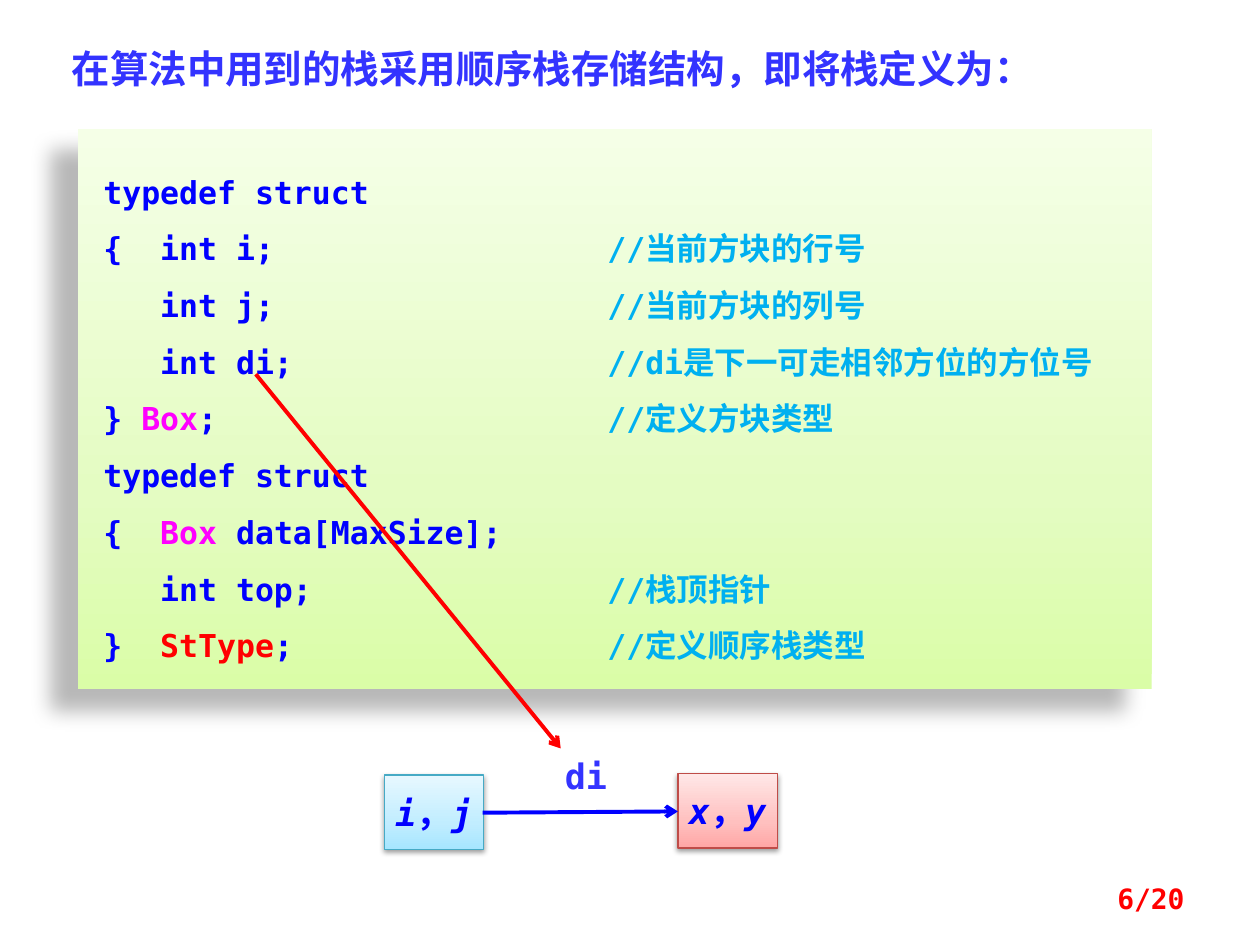
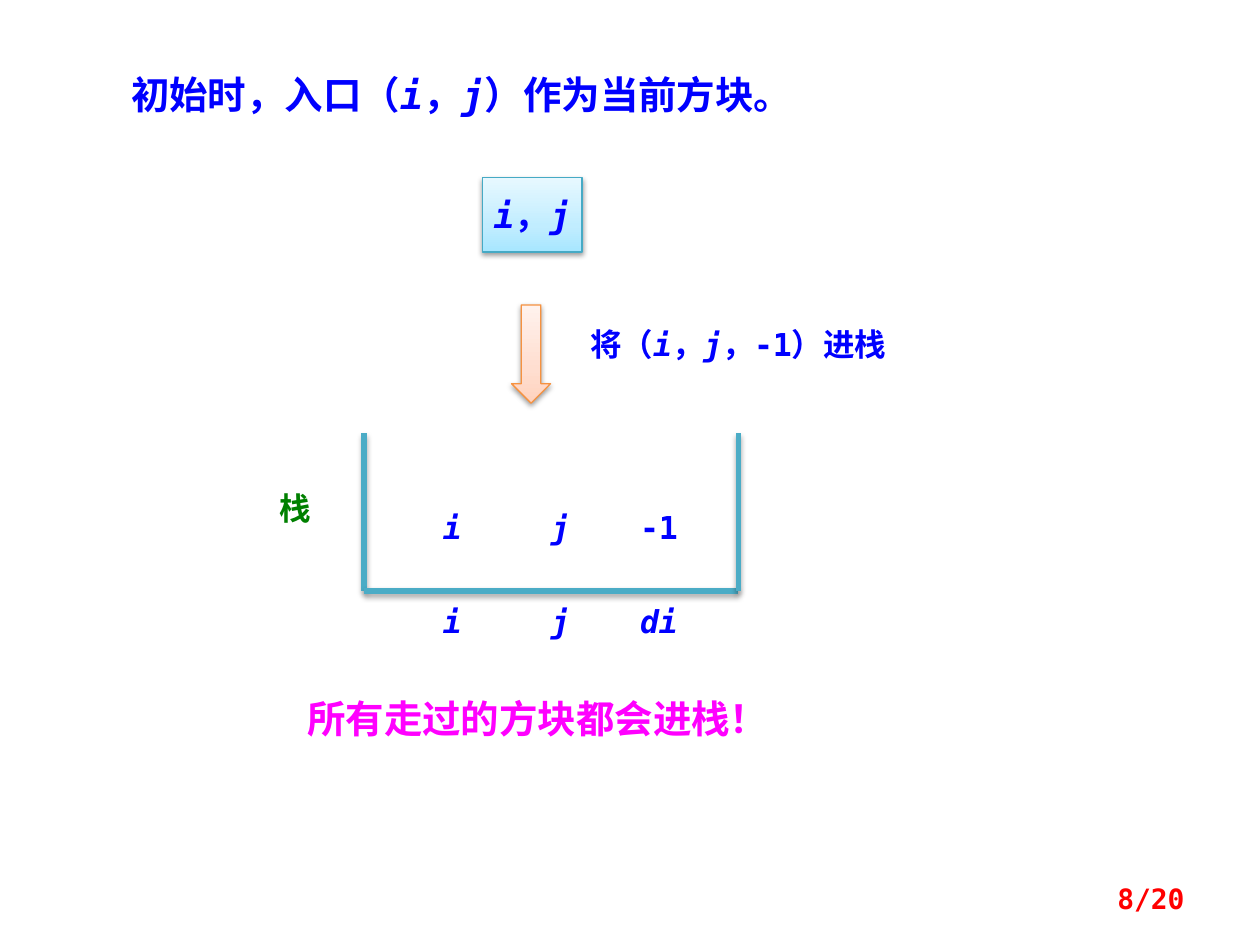
"""Build two slides on the sequential stack used for walking a maze."""
import pptx
import pptx.dml.color
import pptx.enum.shapes
import pptx.enum.text
import pptx.oxml
import pptx.oxml.ns
import pptx.util

Inches = pptx.util.Inches
Pt = pptx.util.Pt
rgb = pptx.dml.color.RGBColor.from_string
ALIGN = pptx.enum.text.PP_ALIGN
ANCHOR = pptx.enum.text.MSO_ANCHOR
SHAPE = pptx.enum.shapes.MSO_SHAPE
STRAIGHT = pptx.enum.shapes.MSO_CONNECTOR.STRAIGHT
NS = pptx.oxml.ns.nsdecls("a")

MONO, CJK = "DejaVu Sans Mono", "Noto Sans CJK SC"
BLUE, INDIGO, RED, MAGENTA = "0000FF", "3333FF", "FF0000", "FF00FF"
SKY, GREEN, TEAL = "00B0F0", "008000", "4BACC6"
LIME_FILL = ("DAFDA7", "E4FCC2", "F5FFE7")
CYAN_FILL = ("A7E6FF", "C1EDFF", "E7F8FF")
PINK_FILL = ("FFA6A5", "FFC0BF", "FFE7E7")
PEACH_FILL = ("FFD2BD", "FFDED0", "FFF2ED")
CODE_SHADOW = (28, 11.8, 19.7, 141)
SHAPE_SHADOW = (38, 3.1, 1.6, 90)
LINE_SHADOW = (35, 3.1, 1.8, 90)


def write(paragraph, text, size, colour, align=ALIGN.LEFT, font=MONO):
    """Append text to a paragraph; parts between bars are italic."""
    paragraph.alignment = align
    for index, part in enumerate(text.split("|")):
        if part:
            span = paragraph.add_run()
            span.text = part
            span.font.name = font
            span.font.size = Pt(size)
            span.font.bold = True
            span.font.italic = index % 2 == 1
            span.font.color.rgb = rgb(colour)
            span.font._element.find(pptx.oxml.ns.qn("a:latin")).addnext(
                pptx.oxml.parse_xml(f'<a:ea {NS} typeface="{CJK}"/>'))


def paint(shape, line=None, width=0.75, stops=None, shadow=None, arrow=False):
    """Give a shape or connector its gradient, line, arrowhead and shadow."""
    if stops:
        shape.fill.gradient()
        shape.fill.gradient_angle = 90
        stop_list = shape._element.spPr.find(".//" + pptx.oxml.ns.qn("a:gsLst"))
        stop_list.clear()
        for place, colour in zip((0, 35, 100), stops):
            stop_list.append(pptx.oxml.parse_xml(
                f'<a:gs {NS} pos="{place * 1000}"><a:srgbClr val="{colour}"/></a:gs>'))
    if line:
        shape.line.color.rgb = rgb(line)
        shape.line.width = Pt(width)
    else:
        shape.line.fill.background()
    if arrow:
        shape.line._get_or_add_ln().append(
            pptx.oxml.parse_xml(f'<a:tailEnd {NS} type="arrow"/>'))
    effect = ""
    if shadow:
        alpha, blur, distance, angle = shadow
        effect = (f'<a:outerShdw blurRad="{Pt(blur)}" dist="{Pt(distance)}" '
                  f'dir="{angle * 60000}" rotWithShape="0"><a:srgbClr val="000000">'
                  f'<a:alpha val="{alpha * 1000}"/></a:srgbClr></a:outerShdw>')
    shape._element.spPr.append(
        pptx.oxml.parse_xml(f'<a:effectLst {NS}>{effect}</a:effectLst>'))


deck = pptx.Presentation()
deck.slide_width, deck.slide_height = Inches(10), Inches(7.5)
headings = [
    (0.47, 0.31, 8.75, "在算法中用到的栈采用顺序栈存储结构，即将栈定义为：", INDIGO, CJK),
    (0.94, 0.51, 5.78, "初始时，入口（|i|，|j|）作为当前方块。", BLUE, MONO),
]
for left, top, width, text, colour, font in headings:
    page = deck.slides.add_slide(deck.slide_layouts[5])
    title = page.shapes.title
    title.left, title.top = Inches(left), Inches(top)
    title.width, title.height = Inches(width), Inches(0.47)
    title.text_frame.vertical_anchor = ANCHOR.TOP
    title.text_frame.auto_size = pptx.enum.text.MSO_AUTO_SIZE.NONE
    write(title.text_frame.paragraphs[0], text, 22, colour, font=font)
definition, start = deck.slides

code = definition.shapes.add_shape(
    SHAPE.RECTANGLE, Inches(0.62), Inches(1.02), Inches(8.52), Inches(4.45))
paint(code, stops=LIME_FILL, shadow=CODE_SHADOW)
frame = code.text_frame
frame.word_wrap = True
frame.vertical_anchor = ANCHOR.TOP
frame.margin_left = frame.margin_top = frame.margin_bottom = Inches(0.2)
code_lines = [
    [("typedef struct", BLUE)],
    [("{  int i;\t", BLUE), ("//当前方块的行号", SKY)],
    [("   int j;\t", BLUE), ("//当前方块的列号", SKY)],
    [("   int di;\t", BLUE), ("//di是下一可走相邻方位的方位号", SKY)],
    [("} ", BLUE), ("Box", MAGENTA), (";\t", BLUE), ("//定义方块类型", SKY)],
    [("typedef struct", BLUE)],
    [("{  ", BLUE), ("Box", MAGENTA), (" data[MaxSize];", BLUE)],
    [("   int top;\t", BLUE), ("//栈顶指针", SKY)],
    [("}  ", BLUE), ("StType", RED), (";\t", BLUE), ("//定义顺序栈类型", SKY)],
]
for number, pieces in enumerate(code_lines):
    para = frame.add_paragraph() if number else frame.paragraphs[0]
    para.line_spacing = 1.5
    para._p.get_or_add_pPr().append(pptx.oxml.parse_xml(
        f'<a:tabLst {NS}><a:tab pos="{Inches(4)}" algn="l"/></a:tabLst>'))
    for text, colour in pieces:
        write(para, text, 18, colour)

squares = [
    (definition, 3.05, 6.15, "|i|，|j|", CYAN_FILL, "46AAC5"),
    (definition, 5.38, 6.14, "|x|，|y|", PINK_FILL, "BF4C48"),
    (start, 3.83, 1.41, "|i|，|j|", CYAN_FILL, "46AAC5"),
]
for page, left, top, text, stops, border in squares:
    square = page.shapes.add_shape(
        SHAPE.RECTANGLE, Inches(left), Inches(top), Inches(0.79), Inches(0.59))
    paint(square, border, stops=stops, shadow=SHAPE_SHADOW)
    square.text_frame.word_wrap = False
    square.text_frame.vertical_anchor = ANCHOR.MIDDLE
    write(square.text_frame.paragraphs[0], text, 20, BLUE, ALIGN.CENTER)

push_arrow = start.shapes.add_shape(
    SHAPE.DOWN_ARROW, Inches(4.06), Inches(2.42), Inches(0.31), Inches(0.78))
paint(push_arrow, "F69240", stops=PEACH_FILL, shadow=SHAPE_SHADOW)

connectors = [
    (definition, 3.83, 6.45, 5.38, 6.44, BLUE, 2.25, None, True),
    (definition, 2.03, 2.97, 4.45, 5.94, RED, 2.25, None, True),
    (start, 2.89, 3.44, 2.89, 4.69, TEAL, 3, LINE_SHADOW, False),
    (start, 2.89, 4.69, 5.86, 4.69, TEAL, 3, LINE_SHADOW, False),
    (start, 5.86, 3.44, 5.86, 4.69, TEAL, 3, LINE_SHADOW, False),
]
for page, x1, y1, x2, y2, colour, width, shadow, arrow in connectors:
    connector = page.shapes.add_connector(
        STRAIGHT, Inches(x1), Inches(y1), Inches(x2), Inches(y2))
    paint(connector, colour, width, shadow=shadow, arrow=arrow)

labels = [
    (definition, 4.3, 5.94, 0.7, "di", 20, INDIGO, ALIGN.CENTER),
    (start, 1.87, 3.83, 0.94, "栈", 18, GREEN, ALIGN.CENTER),
    (start, 4.53, 2.53, 2.66, "将（|i|，|j|，-1）进栈", 18, BLUE, ALIGN.CENTER),
    (start, 2.34, 5.47, 4.84, "所有走过的方块都会进栈！", 22, MAGENTA, ALIGN.LEFT),
]
for top, texts in ((3.98, ("|i|", "|j|", "-1")), (4.73, ("|i|", "|j|", "|di|"))):
    for left, text in zip((3.2, 4.06, 4.84), texts):
        labels.append((start, left, top, 0.78, text, 18, BLUE, ALIGN.CENTER))
for page, number in ((definition, "6/20"), (start, "8/20")):
    labels.append((page, 7.17, 6.95, 2.33, number, 16, RED, ALIGN.RIGHT))
for page, left, top, width, text, size, colour, align in labels:
    box = page.shapes.add_textbox(
        Inches(left), Inches(top), Inches(width), Inches(0.4))
    box.text_frame.word_wrap = True
    write(box.text_frame.paragraphs[0], text, size, colour, align)

deck.save("out.pptx")
